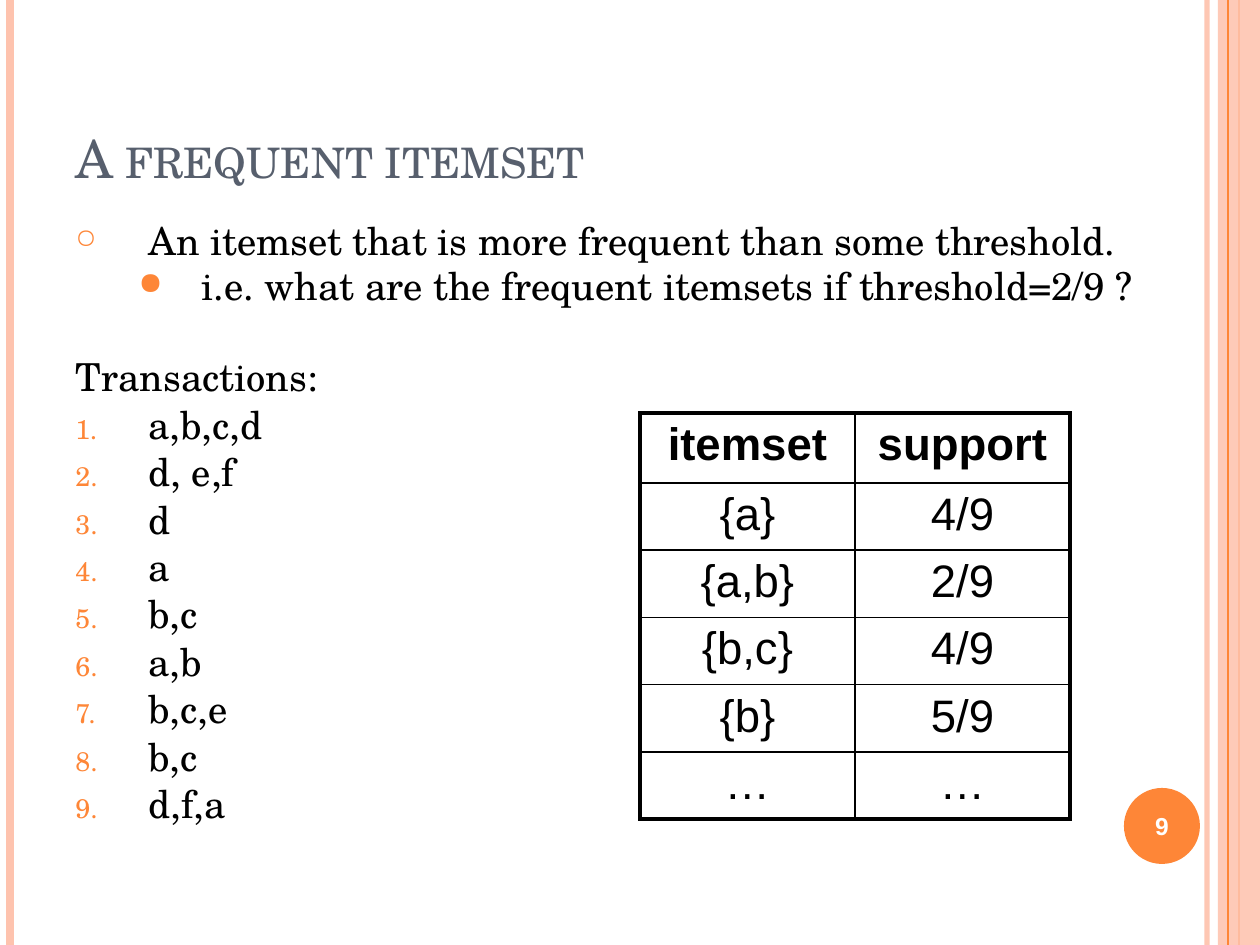
from dataclasses import dataclass

from lxml.etree import SubElement
from pptx import Presentation
from pptx.dml.color import RGBColor as RGB
from pptx.enum.shapes import MSO_CONNECTOR as CONN, MSO_SHAPE as SHAPE
from pptx.enum.text import MSO_ANCHOR as ANCHOR, PP_ALIGN as ALIGN
from pptx.oxml.ns import qn
from pptx.util import Pt

PX = 7257.143  # EMU per px at 126 px to the inch


@dataclass(frozen=True)
class Theme:
    orange: str = "FE8637"
    peach: str = "FEC3AE"
    slate: str = "575F6D"
    black: str = "000000"
    white: str = "FFFFFF"
    serif: str = "TeX Gyre Schola"
    sans: str = "Arial"
    number_font: str = "Times New Roman"
    title_pt: int = 30
    body_pt: int = 22
    table_pt: int = 26
    number_pt: int = 14


T = Theme()


def px(*values):
    """Turn px lengths into a list of EMU lengths."""
    return [round(v * PX) for v in values]


def add_run(p, text, font, size, color, bold=False):
    r = p.add_run()
    r.text = text
    r.font.name, r.font.size, r.font.bold = font, Pt(size), bold
    r.font.color.rgb = RGB.from_string(color)
    return r


prs = Presentation()
prs.slide_width, prs.slide_height = px(1260, 945)
s = prs.slides.add_slide(prs.slide_layouts[5])

# Side stripes, with the translucent band between the lines it covers and the last one
STRIPES = [
    ("line", 1207, 3, T.peach, 93),
    ("line", 10, 4.5, T.peach, 100),
    ("line", 1239, 1.5, T.orange, 100),
    ("band", 1218, 42, T.peach, 87),
    ("line", 1228, 0.75, T.orange, 100),
]
for kind, x, width, color, alpha in STRIPES:
    if kind == "line":
        sp = s.shapes.add_connector(CONN.STRAIGHT, *px(x, 0, x, 945))
        sp.line.width = Pt(width)
        fill = sp.line.fill
    else:
        sp = s.shapes.add_shape(SHAPE.RECTANGLE, *px(x, 0, width, 945))
        sp.line.fill.background()
        fill = sp.fill
    fill.solid()
    fill.fore_color.rgb = RGB.from_string(color)
    if alpha < 100:
        clr = next(sp._element.spPr.iter(qn("a:srgbClr")))
        SubElement(clr, qn("a:alpha"), val=str(alpha * 1000))
    if kind == "line":
        SubElement(sp._element.spPr, qn("a:effectLst"))
    else:
        sp.shadow.inherit = False

# Slide number on its disc
disc = s.shapes.add_shape(SHAPE.OVAL, *px(1124, 788, 76, 76))
disc.shadow.inherit = False
disc.fill.solid()
disc.fill.fore_color.rgb = RGB.from_string(T.orange)
disc.line.fill.background()

number = s.shapes.add_textbox(*px(1120, 790, 84, 72))
tf = number.text_frame
tf.word_wrap = True
tf.vertical_anchor = ANCHOR.MIDDLE
p = tf.paragraphs[0]
p.alignment = ALIGN.CENTER
p._p.get_or_add_pPr().set("rtl", "1")
r = add_run(p, "9", T.number_font, T.number_pt, T.white, bold=True)
SubElement(r._r.get_or_add_rPr(), qn("a:cs"), typeface=T.sans)

# Title
title = s.shapes.title
title.left, title.top, title.width, title.height = px(63, 38, 1134, 157)
tf = title.text_frame
tf.word_wrap = True
tf.vertical_anchor = ANCHOR.BOTTOM
p = tf.paragraphs[0]
p.alignment = ALIGN.LEFT
r = add_run(p, "A frequent itemset", T.serif, T.title_pt, T.slate)
r._r.get_or_add_rPr().set("cap", "small")

# Definition and numbered transactions: text, level, bullet, bullet size %, space before
TRANSACTIONS = ["a,b,c,d", "d, e,f", "d", "a", "b,c", "a,b", "b,c,e", "b,c", "d,f,a"]
LINES = [
    ("An itemset that is more frequent than some threshold.", 0, "○", 70, 6),
    ("i.e. what are the frequent itemsets if threshold=2/9 ?", 1, "●", 80, 4.4),
    ("Transactions:", 0, None, 0, 31),
] + [(text, 0, "number", 70, 6) for text in TRANSACTIONS]
INDENTS = [(73, -73), (126, -63)]

body = s.shapes.add_textbox(*px(63, 220, 1113, 693))
tf = body.text_frame
tf.word_wrap = True
for i, (text, level, bullet, bullet_size, before) in enumerate(LINES):
    p = tf.add_paragraph() if i else tf.paragraphs[0]
    p.level = level
    p.line_spacing, p.space_before = 0.8, Pt(before)
    pPr = p._p.get_or_add_pPr()
    for name, value in zip(("marL", "indent"), px(*INDENTS[level])):
        pPr.set(name, str(value))
    if bullet:
        SubElement(SubElement(pPr, qn("a:buClr")), qn("a:srgbClr"), val=T.orange)
        SubElement(pPr, qn("a:buSzPct"), val=str(bullet_size * 1000))
        if bullet == "number":
            SubElement(pPr, qn("a:buAutoNum"), type="arabicPeriod")
        else:
            SubElement(pPr, qn("a:buChar"), char=bullet)
    else:
        SubElement(pPr, qn("a:buNone"))
    add_run(p, text, T.serif, T.body_pt, T.black)

# Support table: thick outer frame, thin inner rules
ROWS = [
    ("itemset", "support"),
    ("{a}", "4/9"),
    ("{a,b}", "2/9"),
    ("{b,c}", "4/9"),
    ("{b}", "5/9"),
    ("…", "…"),
]
HEAD_H, ROW_H, COL_W = 70, 63, 215
THICK, THIN = 2.25, 1
n_rows, n_cols = len(ROWS), len(ROWS[0])
frame = s.shapes.add_table(
    n_rows, n_cols, *px(640, 413, COL_W * n_cols, HEAD_H + ROW_H * (n_rows - 1))
)
table = frame.table
table.first_row = table.horz_banding = False
for col in table.columns:
    col.width = px(COL_W)[0]
for i, texts in enumerate(ROWS):
    table.rows[i].height = px(ROW_H if i else HEAD_H)[0]
    for j, text in enumerate(texts):
        cell = table.cell(i, j)
        p = cell.text_frame.paragraphs[0]
        p.alignment = ALIGN.CENTER
        add_run(p, text, T.sans, T.table_pt, T.black, bold=i == 0)
        tcPr = cell._tc.get_or_add_tcPr()
        outer = {"L": j == 0, "R": j == n_cols - 1, "T": i == 0, "B": i == n_rows - 1}
        for side, is_outer in outer.items():
            width = Pt(THICK if is_outer else THIN)
            ln = SubElement(tcPr, qn(f"a:ln{side}"), w=str(width))
            SubElement(SubElement(ln, qn("a:solidFill")), qn("a:srgbClr"), val=T.black)
        cell.fill.background()

prs.save("out.pptx")
